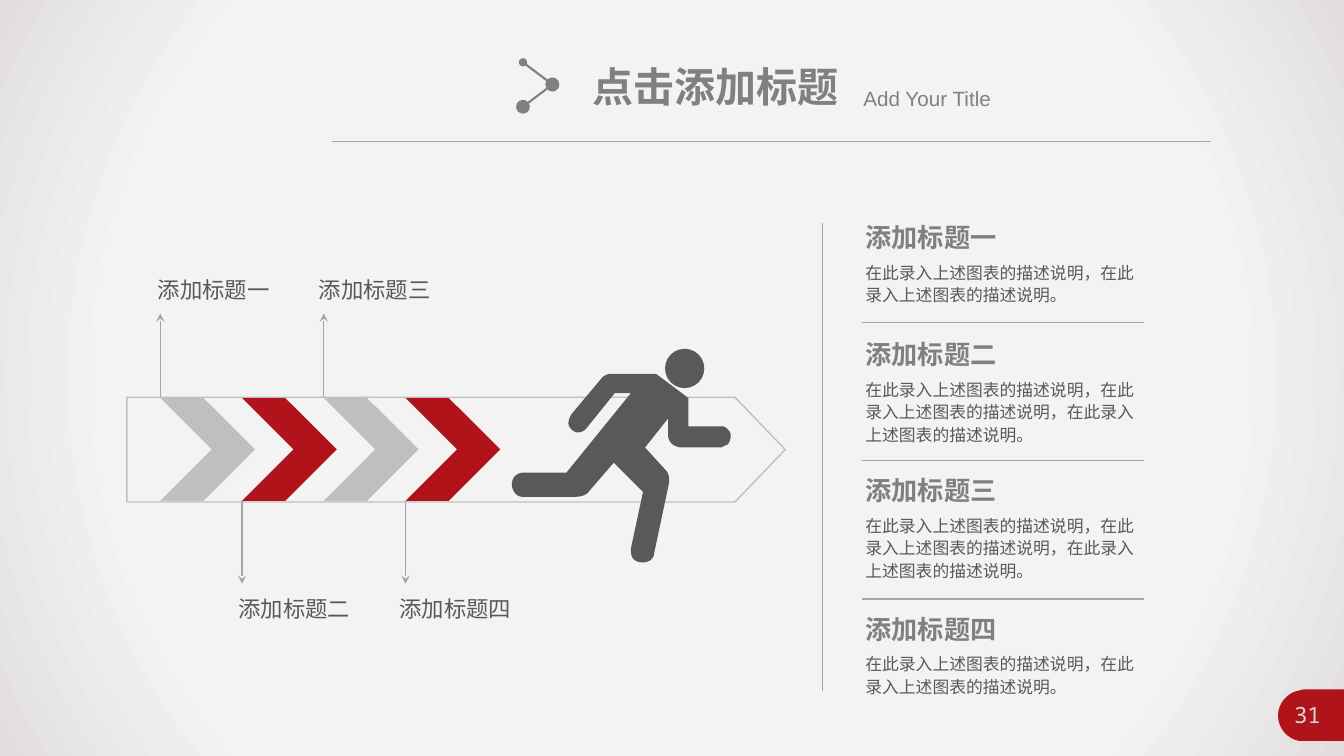
import pptx
import pptx.util
import pptx.dml.color
import pptx.enum.shapes
import pptx.enum.text
import pptx.oxml
import pptx.oxml.ns

Cm = pptx.util.Cm
Pt = pptx.util.Pt
RGB = pptx.dml.color.RGBColor
Kind = pptx.enum.shapes.MSO_SHAPE
Fit = pptx.enum.text.MSO_AUTO_SIZE
Align = pptx.enum.text.PP_ALIGN
qn = pptx.oxml.ns.qn

RED = RGB(0xB0, 0x13, 0x19)
DARK = RGB(0x59, 0x59, 0x59)
GREY = RGB(0x80, 0x80, 0x80)
RULE = RGB(0xA6, 0xA6, 0xA6)
SILVER = RGB(0xBF, 0xBF, 0xBF)
PALE = RGB(0xD9, 0xD9, 0xD9)
GLOW = [(0, RGB(0xF5, 0xF5, 0xF5)), (73, RGB(0xF3, 0xF3, 0xF3)), (100, RGB(0xE2, 0xDE, 0xDF))]
HAN = "Noto Sans CJK SC"
LATIN = "Arial"
MONO = "Noto Sans Mono"
WIDE, HIGH = 33.87, 19.05
UNIT = 0.0254

PILL = [
    (1293, 684), (1349, 684), (1349, 735), (1293, 735), (1289, 735),
    (1277, 733, 1268, 722, 1268, 710), (1268, 698, 1277, 687, 1289, 685),
]
RUNNER = [
    (518, 469), (562, 469), (626, 390), (610, 390), (581, 426),
    (579, 428, 576, 429, 573, 429), (569, 429, 564, 424, 564, 420),
    (564, 416, 566, 413, 567, 411), (598, 374), (601, 372, 603, 371, 606, 371),
    (651, 371), (683, 395), (683, 423), (716, 423), (719, 423, 720, 424, 722, 426),
    (726, 429, 726, 436, 722, 441), (720, 442, 719, 442, 716, 444), (675, 444),
    (663, 442, 663, 433, 663, 433), (663, 415), (640, 444), (661, 467),
    (661, 467, 666, 472, 663, 483), (649, 549), (649, 555, 643, 558, 638, 558),
    (630, 558, 626, 554, 626, 547), (626, 544), (638, 488), (609, 459), (584, 488),
    (584, 488, 581, 493, 570, 493), (519, 493), (514, 493, 510, 490, 508, 483),
    (507, 477, 510, 470, 518, 469),
]


def bend(a, b, c, d, t):
    s = 1 - t
    return s**3 * a + 3 * s * s * t * b + 3 * s * t * t * c + t**3 * d


class Page:
    def __init__(self, slide):
        self.slide = slide
        self.items = slide.shapes

    def paint(self, item, fill=None, line=None):
        item.shadow.inherit = False
        if fill is None:
            item.fill.background()
        else:
            item.fill.solid()
            item.fill.fore_color.rgb = fill
        if line is None:
            item.line.fill.background()
        else:
            item.line.color.rgb = line
            item.line.width = Pt(1)
        return item

    def shape(self, kind, x, y, w, h, fill=None, line=None, bite=None):
        item = self.items.add_shape(kind, Cm(x), Cm(y), Cm(w), Cm(h))
        if bite is not None:
            item.adjustments[0] = bite
        return self.paint(item, fill, line)

    def glow(self):
        item = self.shape(Kind.RECTANGLE, 0, 0, WIDE, HIGH, PALE)
        stops = "".join(
            f'<a:gs pos="{at * 1000}"><a:srgbClr val="{tint}"/></a:gs>' for at, tint in GLOW
        )
        grad = pptx.oxml.parse_xml(
            f'<a:gradFill {pptx.oxml.ns.nsdecls("a")} rotWithShape="1"><a:gsLst>{stops}</a:gsLst>'
            '<a:path path="circle"><a:fillToRect l="50000" t="50000" r="50000" b="50000"/>'
            "</a:path></a:gradFill>"
        )
        props = item.element.spPr
        props.replace(props.find(qn("a:solidFill")), grad)

    def free(self, steps, fill):
        spots = [steps[0]]
        for step in steps[1:]:
            if len(step) == 2:
                spots.append(step)
                continue
            x, y = spots[-1]
            for n in range(1, 9):
                spots.append((bend(x, *step[0::2], n / 8), bend(y, *step[1::2], n / 8)))
        spots = [(Cm(x * UNIT), Cm(y * UNIT)) for x, y in spots]
        form = self.items.build_freeform(*spots[0])
        form.add_line_segments(spots[1:], close=True)
        return self.paint(form.convert_to_shape(), fill)

    def line(self, x1, y1, x2, y2, tint=RULE, width=1, head=None, tail=None, size="med"):
        item = self.items.add_connector(
            pptx.enum.shapes.MSO_CONNECTOR.STRAIGHT, Cm(x1), Cm(y1), Cm(x2), Cm(y2)
        )
        item.line.color.rgb = tint
        item.line.width = Pt(width)
        props = item.element.spPr
        edge = props.find(qn("a:ln"))
        for tag, kind, big in (("a:headEnd", head, size), ("a:tailEnd", tail, "lg")):
            if kind:
                end = edge.makeelement(qn(tag), {"type": kind, "w": big, "len": big})
                edge.append(end)
        props.append(props.makeelement(qn("a:effectLst"), {}))

    def text(self, words, x, y, w, h, size, tint, font=HAN, bold=False, wrap=False,
             align=Align.LEFT, space=None):
        item = self.items.add_textbox(Cm(x), Cm(y), Cm(w), Cm(h))
        frame = item.text_frame
        frame.text = words
        frame.word_wrap = wrap
        frame.auto_size = Fit.SHAPE_TO_FIT_TEXT
        para = frame.paragraphs[0]
        para.alignment = align
        if space:
            para.line_spacing = space
        run = para.runs[0]
        run.font.size = Pt(size)
        run.font.bold = bold
        run.font.color.rgb = tint
        run.font.name = font
        props = run.font._element
        props.append(props.makeelement(qn("a:ea"), {"typeface": HAN}))
        return item


def main():
    deck = pptx.Presentation()
    deck.slide_width, deck.slide_height = Cm(WIDE), Cm(HIGH)
    page = Page(deck.slides.add_slide(deck.slide_layouts[6]))

    page.glow()
    page.line(8.36, 3.56, 30.53, 3.56, width=0.5)
    page.free(PILL, RED)
    number = page.text("31", 32.28, 17.55, 1.68, 0.94, 16, PALE, MONO, wrap=True, align=Align.CENTER)
    number.text_frame.margin_right = Cm(0.59)

    page.line(13.18, 1.57, 13.92, 2.13, GREY, 1.5, "oval", "oval")
    page.line(13.92, 2.13, 13.18, 2.69, GREY, 1.5, "oval", "oval", "lg")
    page.text("点击添加标题", 14.68, 1.42, 6.78, 1.5, 29.3, GREY, LATIN, bold=True)
    page.text("Add Your Title", 21.51, 2.03, 6.4, 0.89, 14.7, GREY, LATIN, wrap=True)

    names = ["添加标题" + mark for mark in "一二三四"]
    page.shape(Kind.PENTAGON, 3.2, 10.01, 16.59, 2.64, line=SILVER, bite=0.48)
    for n, name in enumerate(names):
        x = 4.04 + 2.06 * n
        odd = n % 2
        page.shape(Kind.CHEVRON, x, 10.03, 2.39, 2.59, RED if odd else SILVER, bite=0.544)
        tip, base, top = (14.71, 12.62, 14.86) if odd else (7.9, 10.01, 6.83)
        page.line(x, tip, x, base, head="stealth")
        page.text(name, 3.73 + 2.03 * n, top, 3.35, 0.94, 16, DARK)

    page.shape(Kind.OVAL, 16.76, 8.79, 0.99, 0.99, DARK)
    page.free(RUNNER, DARK)

    page.line(20.73, 5.61, 20.73, 17.42)
    for n in range(3):
        y = 8.13 + 3.48 * n
        page.line(21.72, y, 28.83, y)
    phrase = "在此录入上述图表的描述说明"
    for name, y, times in zip(names, (5.46, 8.41, 11.84, 15.32), (2, 3, 3, 2)):
        page.text(name, 21.56, y, 3.84, 1.07, 18.7, GREY, bold=True)
        body = "，".join([phrase] * times) + "。"
        page.text(body, 21.56, y + 0.99, 7.29, 0.28 + 0.56 * times, 12, DARK, wrap=True, space=1.1)

    deck.save("out.pptx")


if __name__ == "__main__":
    main()
